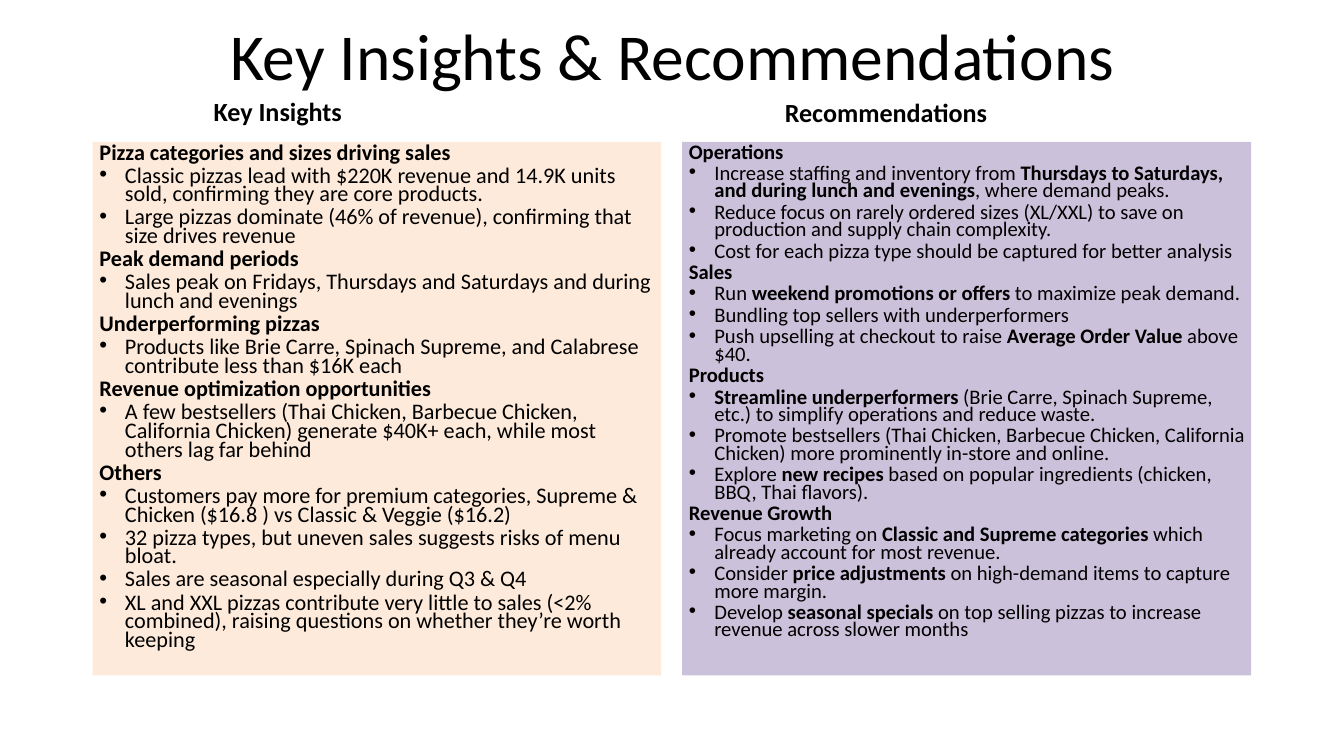
from lxml.etree import SubElement
from pptx import Presentation
from pptx.dml.color import RGBColor
from pptx.enum.text import MSO_ANCHOR, MSO_AUTO_SIZE, PP_ALIGN
from pptx.oxml.ns import qn
from pptx.util import Inches, Pt

COLORS = {"text": "000000", "insights": "FDEADA", "recommendations": "CCC1DA"}

# Text between ** marks is bold.
INSIGHTS = [
    ("Pizza categories and sizes driving sales", [
        "Classic pizzas lead with $220K revenue and 14.9K units sold, confirming they are core products.",
        "Large pizzas dominate (46% of revenue), confirming that size drives revenue",
    ]),
    ("Peak demand periods", [
        "Sales peak on Fridays, Thursdays and Saturdays and during lunch and evenings",
    ]),
    ("Underperforming pizzas", [
        "Products like Brie Carre, Spinach Supreme, and Calabrese contribute less than $16K each",
    ]),
    ("Revenue optimization opportunities", [
        "A few bestsellers (Thai Chicken, Barbecue Chicken, California Chicken) generate $40K+ each, "
        "while most others lag far behind",
    ]),
    ("Others", [
        "Customers pay more for premium categories, Supreme & Chicken ($16.8 ) vs Classic & Veggie ($16.2)",
        "32 pizza types, but uneven sales suggests risks of menu bloat.",
        "Sales are seasonal especially during Q3 & Q4",
        "XL and XXL pizzas contribute very little to sales (<2% combined), "
        "raising questions on whether they’re worth keeping",
    ]),
]

RECOMMENDATIONS = [
    ("Operations", [
        "Increase staffing and inventory from **Thursdays to Saturdays, and during lunch and evenings**, "
        "where demand peaks.",
        "Reduce focus on rarely ordered sizes (XL/XXL) to save on production and supply chain complexity.",
        "Cost for each pizza type should be captured for better analysis",
    ]),
    ("Sales", [
        "Run **weekend promotions or offers** to maximize peak demand.",
        "Bundling top sellers with underperformers",
        "Push upselling at checkout to raise **Average Order Value** above $40.",
    ]),
    ("Products", [
        "**Streamline underperformers** (Brie Carre, Spinach Supreme, etc.) "
        "to simplify operations and reduce waste.",
        "Promote bestsellers (Thai Chicken, Barbecue Chicken, California Chicken) "
        "more prominently in-store and online.",
        "Explore **new recipes** based on popular ingredients (chicken, BBQ, Thai flavors).",
    ]),
    ("Revenue Growth", [
        "Focus marketing on **Classic and Supreme categories** which already account for most revenue.",
        "Consider **price adjustments** on high-demand items to capture more margin.",
        "Develop **seasonal specials** on top selling pizzas to increase revenue across slower months",
    ]),
]


class SlideWriter:
    def __init__(self, page, font="Calibri"):
        self.page = page
        self.font = font

    def place(self, shape, left, top, width, height):
        shape.left, shape.top = Inches(left), Inches(top)
        shape.width, shape.height = Inches(width), Inches(height)

    def style(self, paragraph, size, bold=False):
        paragraph.font.name = self.font
        paragraph.font.size = Pt(size)
        paragraph.font.bold = bold
        paragraph.font.color.rgb = RGBColor.from_string(COLORS["text"])

    def title(self, text, area, size):
        box = self.page.shapes.title
        self.place(box, *area)
        frame = box.text_frame
        frame.text = text
        frame.auto_size = MSO_AUTO_SIZE.NONE
        frame.vertical_anchor = MSO_ANCHOR.MIDDLE
        frame.paragraphs[0].alignment = PP_ALIGN.CENTER
        self.style(frame.paragraphs[0], size)

    def label(self, text, area, size=28):
        box = self.page.shapes.add_textbox(*map(Inches, area))
        box.text_frame.word_wrap = True
        box.text_frame.text = text
        self.style(box.text_frame.paragraphs[0], size, bold=True)

    def panel(self, index, sections, area, fill, size):
        """Fill a body placeholder with bold headings and their bullets."""
        box = self.page.placeholders[index]
        self.place(box, *area)
        box.fill.solid()
        box.fill.fore_color.rgb = RGBColor.from_string(COLORS[fill])
        frame = box.text_frame
        frame.auto_size = MSO_AUTO_SIZE.NONE
        frame.vertical_anchor = MSO_ANCHOR.TOP
        lines = [(text, text == heading)
                 for heading, bullets in sections for text in (heading, *bullets)]
        for number, (text, is_heading) in enumerate(lines):
            paragraph = frame.add_paragraph() if number else frame.paragraphs[0]
            paragraph.line_spacing = 0.7
            paragraph.space_before = Pt(0.2 * size if number else 0)
            self.bullet(paragraph, None if is_heading else "•")
            self.style(paragraph, size, bold=is_heading)
            for position, part in enumerate(text.split("**")):
                if part:
                    span = paragraph.add_run()
                    span.text = part
                    if position % 2:
                        span.font.bold = True

    def bullet(self, paragraph, mark, indent=0.38):
        properties = paragraph._p.get_or_add_pPr()
        hang = Inches(indent) if mark else 0
        properties.set("marL", str(hang))
        properties.set("indent", str(-hang))
        if mark:
            SubElement(properties, qn("a:buFont"), typeface="Arial")
            SubElement(properties, qn("a:buChar"), char=mark)
        else:
            SubElement(properties, qn("a:buNone"))


def main():
    deck = Presentation()
    deck.slide_width, deck.slide_height = Inches(20), Inches(11.25)
    writer = SlideWriter(deck.slides.add_slide(deck.slide_layouts.get_by_name("Two Content")))

    writer.title("Key Insights & Recommendations", (1.38, 0.34, 17.25, 0.95), 70.2)
    writer.panel(1, INSIGHTS, (1.38, 2.11, 8.46, 7.94), "insights", 23.8)
    writer.panel(2, RECOMMENDATIONS, (10.15, 2.11, 8.47, 7.94), "recommendations", 22.1)
    writer.label("Key Insights", (3.08, 1.37, 3.25, 0.57))
    writer.label("Recommendations", (11.58, 1.38, 3.25, 0.57))

    deck.save("out.pptx")


if __name__ == "__main__":
    main()
